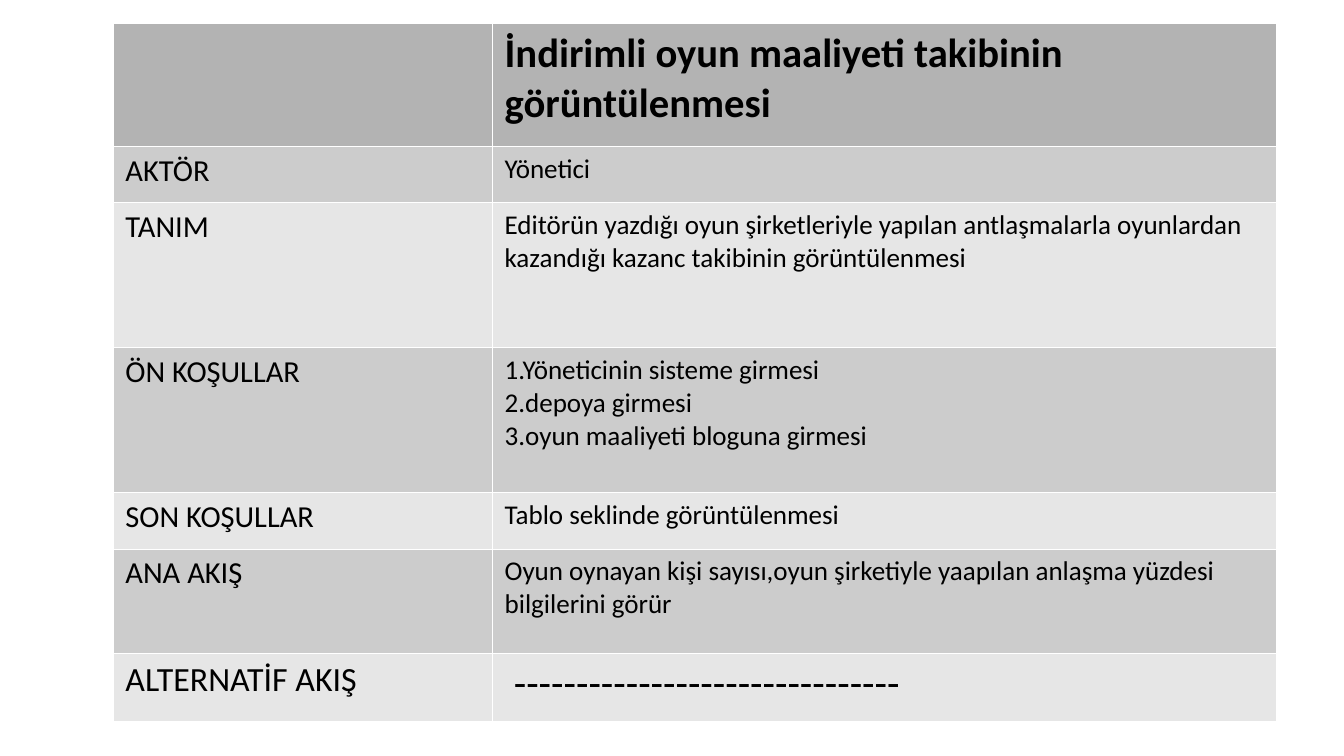
import pptx
import pptx.dml.color
import pptx.oxml
import pptx.oxml.ns
import pptx.util
from pptx.util import Cm

RGBColor = pptx.dml.color.RGBColor
BLACK = RGBColor(0x00, 0x00, 0x00)
WHITE = RGBColor(0xFF, 0xFF, 0xFF)
HEADER_GREY = RGBColor(0xB3, 0xB3, 0xB3)
BAND_GREYS = (RGBColor(0xE6, 0xE6, 0xE6), RGBColor(0xCC, 0xCC, 0xCC))

COLUMN_WIDTHS = (7.9, 16.33)
# Row height, label, label size, description lines, description size
USE_CASE_ROWS = (
    (2.57, "", 18, ["İndirimli oyun maaliyeti takibinin görüntülenmesi"], 24),
    (1.17, "AKTÖR", 18, ["Yönetici"], 16),
    (3.02, "TANIM", 18, ["Editörün yazdığı oyun şirketleriyle yapılan antlaşmalarla "
                         "oyunlardan kazandığı kazanc takibinin görüntülenmesi"], 16),
    (3.02, "ÖN KOŞULLAR", 18, ["1.Yöneticinin sisteme girmesi", "2.depoya girmesi",
                               "3.oyun maaliyeti bloguna girmesi"], 16),
    (1.17, "SON KOŞULLAR", 18, ["Tablo seklinde görüntülenmesi"], 16),
    (2.18, "ANA AKIŞ", 18, ["Oyun oynayan kişi sayısı,oyun şirketiyle yaapılan "
                            "anlaşma yüzdesi bilgilerini görür"], 16),
    (1.42, "ALTERNATİF AKIŞ", 20, [" " + "-" * 31], 24),
)


class SlideBuilder:
    font_name = "Calibri"
    border_width = pptx.util.Pt(0.06)

    def __init__(self, deck):
        self.slide = deck.slides.add_slide(deck.slide_layouts.get_by_name("Blank"))

    def add_borders(self, cell):
        """Draw a hairline on each side; call before filling the cell."""
        properties = cell._tc.get_or_add_tcPr()
        for side in ("lnL", "lnR", "lnT", "lnB"):
            properties.append(pptx.oxml.parse_xml(
                f'<a:{side} {pptx.oxml.ns.nsdecls("a")} w="{self.border_width}">'
                f'<a:solidFill><a:srgbClr val="{WHITE}"/></a:solidFill></a:{side}>'))

    def fill_cell(self, cell, lines, size, colour, bold):
        self.add_borders(cell)
        cell.fill.solid()
        cell.fill.fore_color.rgb = colour
        cell.text = "\n".join(lines)
        font_format = {"name": self.font_name, "size": pptx.util.Pt(size), "bold": bold}
        for para in cell.text_frame.paragraphs:
            for span in para.runs:
                for attribute, value in font_format.items():
                    setattr(span.font, attribute, value)
                span.font.color.rgb = BLACK

    def add_use_case_table(self, left, top, widths, rows):
        height = sum(row[0] for row in rows)
        table = self.slide.shapes.add_table(
            len(rows), len(widths), Cm(left), Cm(top), Cm(sum(widths)), Cm(height)).table
        table.first_row = table.horz_banding = False
        for column, width in zip(table.columns, widths):
            column.width = Cm(width)
        for index, (height, label, label_size, lines, size) in enumerate(rows):
            table.rows[index].height = Cm(height)
            is_header = index == 0
            colour = HEADER_GREY if is_header else BAND_GREYS[index % 2]
            self.fill_cell(table.cell(index, 0), [label], label_size, colour, is_header)
            self.fill_cell(table.cell(index, 1), lines, size, colour, is_header)


def main():
    deck = pptx.Presentation()
    deck.slide_width, deck.slide_height = Cm(28), Cm(15.75)
    SlideBuilder(deck).add_use_case_table(2.36, 0.48, COLUMN_WIDTHS, USE_CASE_ROWS)
    deck.save("out.pptx")


if __name__ == "__main__":
    main()
